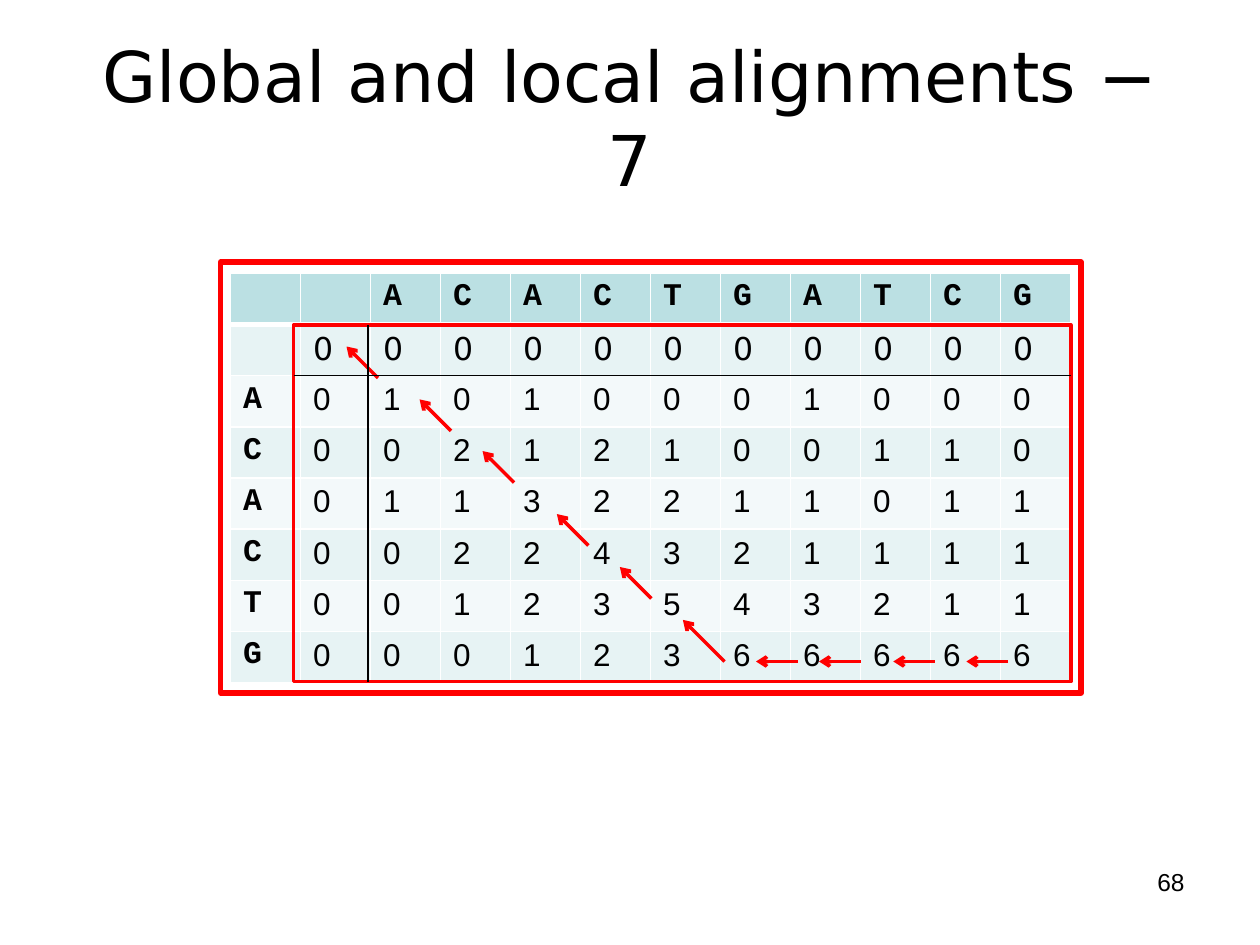
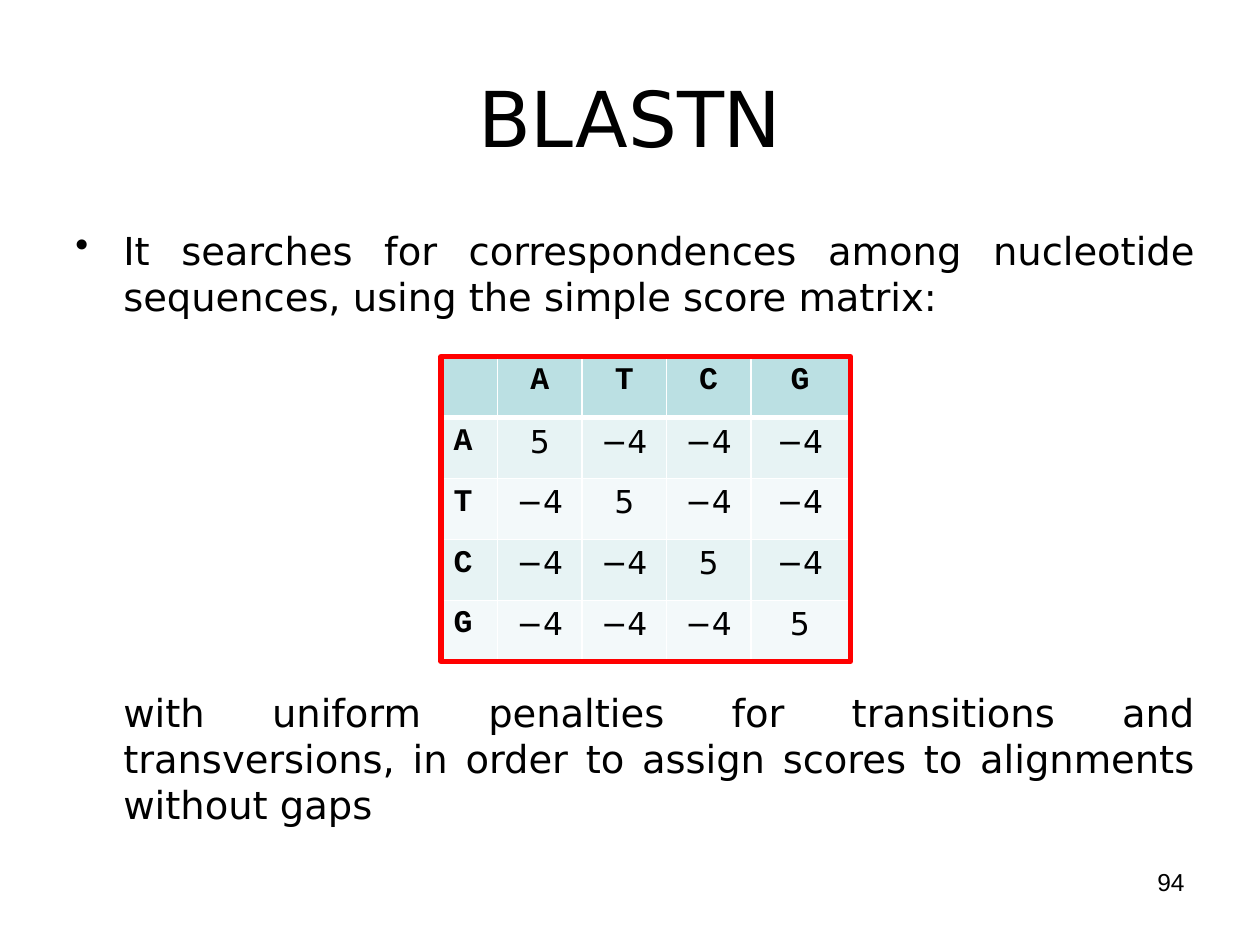
from lxml.etree import SubElement
from pptx import Presentation
from pptx.dml.color import RGBColor
from pptx.enum.shapes import MSO_CONNECTOR as Connector, MSO_SHAPE as Shape
from pptx.enum.text import MSO_ANCHOR as Anchor, PP_ALIGN as Align
from pptx.oxml.ns import qn
from pptx.util import Inches, Pt

BLACK, WHITE, RED = "000000", "FFFFFF", "FF0000"
HEADER, BANDS = "BBE0E3", ("E7F3F4", "F3F9FA")
SANS, MONO, ARIAL = "DejaVu Sans", "Courier New", "Arial"

ALIGNMENT = {
    "title": "Global and local alignments − 7",
    "page": "68",
    "columns": ["", *"ACACTGATCG"],
    "rows": [
        ("", "00000000000"),
        ("A", "01010001000"),
        ("C", "00212100110"),
        ("A", "01132211011"),
        ("C", "00224321111"),
        ("T", "00123543211"),
        ("G", "00012366666"),
    ],
}
DIAGONAL_STEPS = [(3, 3, 0.25), (3.58, 3.42, 0.25), (4.08, 3.83, 0.25),
                  (4.67, 4.33, 0.25), (5.17, 4.75, 0.25), (5.75, 5.25, 0.33)]
GAP_STEPS = [(x, 5.25, 0.33) for x in (6.33, 6.83, 7.42, 8)]

BLASTN = {
    "title": "BLASTN",
    "page": "94",
    "intro": "It searches for correspondences among nucleotide sequences, "
             "using the simple score matrix:",
    "closing": "with uniform penalties for transitions and transversions, "
               "in order to assign scores to alignments without gaps",
    "bases": "ATCG",
    "match": "5",
    "mismatch": "−4",
}


def color(value):
    return RGBColor.from_string(value)


def style(paragraph, size, font, align=Align.LEFT, bold=False):
    paragraph.alignment = align
    paragraph.font.size = Pt(size)
    paragraph.font.name = font
    paragraph.font.bold = bold
    paragraph.font.color.rgb = color(BLACK)


def add_text(slide, text, box, size, font, align, anchor=Anchor.TOP):
    frame = slide.shapes.add_textbox(*map(Inches, box)).text_frame
    frame.word_wrap = True
    frame.vertical_anchor = anchor
    paragraph = frame.paragraphs[0]
    paragraph.text = text
    style(paragraph, size, font, align)
    return paragraph


def add_body(slide, text, top, height, bullet=False):
    paragraph = add_text(slide, text, (0.5, top, 9.08, height), 22, SANS, Align.JUSTIFY)
    properties = paragraph._p.get_or_add_pPr()
    properties.set("marL", str(Inches(0.38)))
    properties.set("indent", str(Inches(-0.38 if bullet else 0)))
    if bullet:
        mark = properties.makeelement(qn("a:buChar"), {"char": "•"})
        properties.insert_element_before(mark, "a:tabLst", "a:defRPr", "a:extLst")


def add_slide(presentation, content, title_size):
    slide = presentation.slides.add_slide(presentation.slide_layouts[6])
    add_text(slide, content["title"], (0.5, 0.3, 9, 1.25), title_size, SANS,
             Align.CENTER, Anchor.MIDDLE)
    add_text(slide, content["page"], (7.17, 6.83, 2.33, 0.52), 14, ARIAL, Align.RIGHT)
    return slide


def add_frame(slide, box, width):
    frame = slide.shapes.add_shape(Shape.RECTANGLE, *map(Inches, box))
    frame.shadow.inherit = False
    frame.fill.background()
    frame.line.color.rgb = color(RED)
    frame.line.width = Pt(width)


def add_line(slide, start, end, line_color, width, arrow=False):
    line = slide.shapes.add_connector(Connector.STRAIGHT, *map(Inches, (*start, *end)))
    line.line.color.rgb = color(line_color)
    line.line.width = Pt(width)
    if arrow:
        SubElement(line.line._get_or_add_ln(), qn("a:tailEnd"), type="arrow")
    SubElement(line._element.spPr, qn("a:effectLst"))


def paint_cell(cell, row):
    properties = cell._tc.get_or_add_tcPr()
    widths = {"L": 1, "R": 1, "T": 3 if row == 1 else 1, "B": 3 if row == 0 else 1}
    for side, width in widths.items():
        border = SubElement(properties, qn(f"a:ln{side}"), w=str(Pt(width)))
        SubElement(SubElement(border, qn("a:solidFill")), qn("a:srgbClr"), val=WHITE)
    cell.fill.solid()
    cell.fill.fore_color.rgb = color(BANDS[(row - 1) % 2] if row else HEADER)


def add_matrix(slide, rows, box, widths, font_of_row, align):
    table = slide.shapes.add_table(len(rows), len(widths), *map(Inches, box)).table
    table.horz_banding = False
    for column, width in zip(table.columns, widths):
        column.width = Inches(width)
    for r, values in enumerate(rows):
        table.rows[r].height = Inches(box[3] / len(rows))
        for c, value in enumerate(values):
            cell = table.cell(r, c)
            paint_cell(cell, r)
            label = r == 0 or c == 0
            paragraph = cell.text_frame.paragraphs[0]
            paragraph.text = value
            style(paragraph, 18, MONO if label else font_of_row(r),
                  Align.LEFT if c == 0 else align, label)


def build_alignment(presentation):
    slide = add_slide(presentation, ALIGNMENT, 40)
    rows = [["", *ALIGNMENT["columns"]]]
    rows += [[base, *scores] for base, scores in ALIGNMENT["rows"]]
    columns = len(rows[0])
    add_matrix(slide, rows, (1.83, 2.17, 6.67, 3.25), [6.67 / columns] * columns,
               lambda row: SANS if row == 1 else ARIAL, Align.LEFT)
    for x, y, step in GAP_STEPS:
        add_line(slide, (x, y), (x - step, y), RED, 2, arrow=True)
    for x, y, step in DIAGONAL_STEPS:
        add_line(slide, (x, y), (x - step, y - step), RED, 2, arrow=True)
    add_frame(slide, (1.75, 2.08, 6.83, 3.42), 3)
    left, top, width, height = scores_box = (2.33, 2.58, 6.17, 2.83)
    add_frame(slide, scores_box, 2)
    add_line(slide, (left, 2.98), (left + width, 2.98), BLACK, 0.75)
    add_line(slide, (2.92, top), (2.92, top + height), BLACK, 0.75)


def build_blastn(presentation):
    slide = add_slide(presentation, BLASTN, 44)
    add_body(slide, BLASTN["intro"], 1.75, 0.9, bullet=True)
    add_body(slide, BLASTN["closing"], 5.42, 1.25)
    bases = BLASTN["bases"]
    rows = [["", *bases]]
    rows += [[a, *(BLASTN["match" if a == b else "mismatch"] for b in bases)] for a in bases]
    box = (3.5, 2.83, 3.25, 2.42)
    add_matrix(slide, rows, box, [0.45, 0.67, 0.67, 0.67, 0.78],
               lambda row: SANS, Align.CENTER)
    add_frame(slide, box, 3)


def main():
    presentation = Presentation()
    presentation.slide_width, presentation.slide_height = Inches(10), Inches(7.5)
    build_alignment(presentation)
    build_blastn(presentation)
    presentation.save("out.pptx")


if __name__ == "__main__":
    main()
